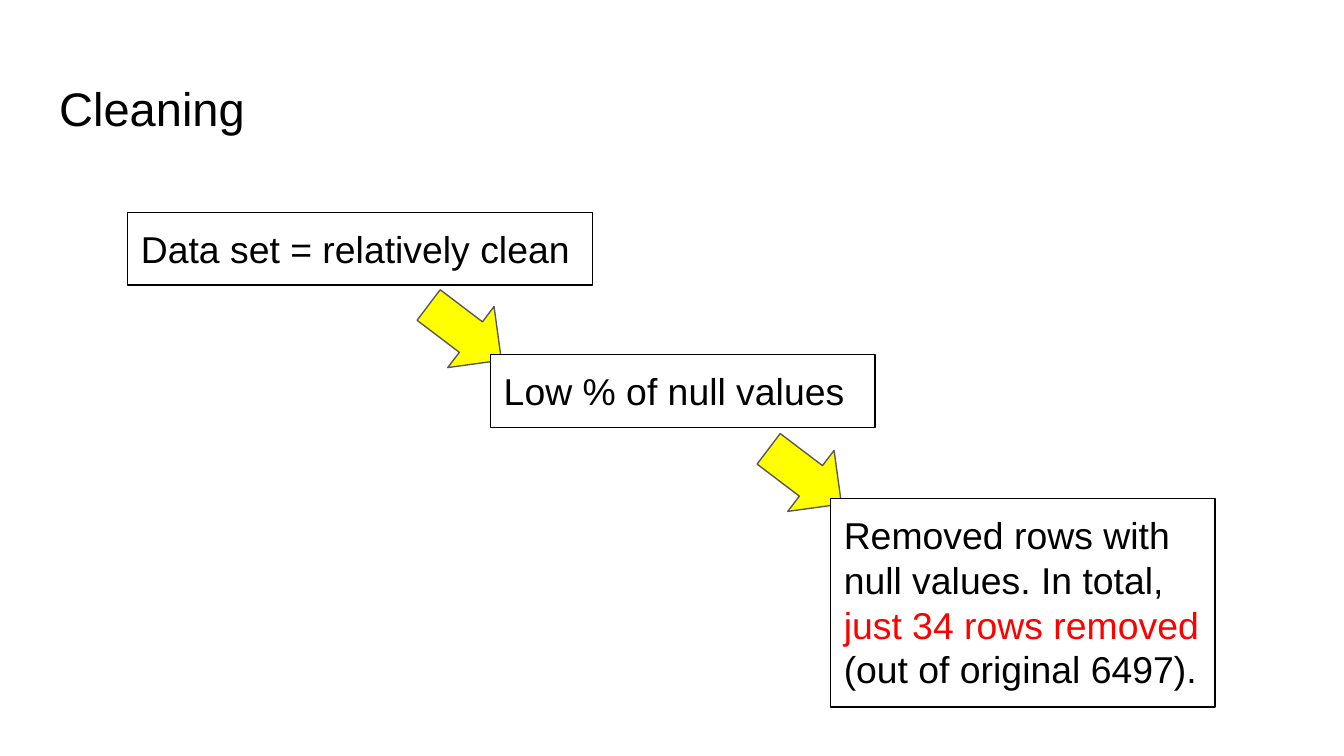
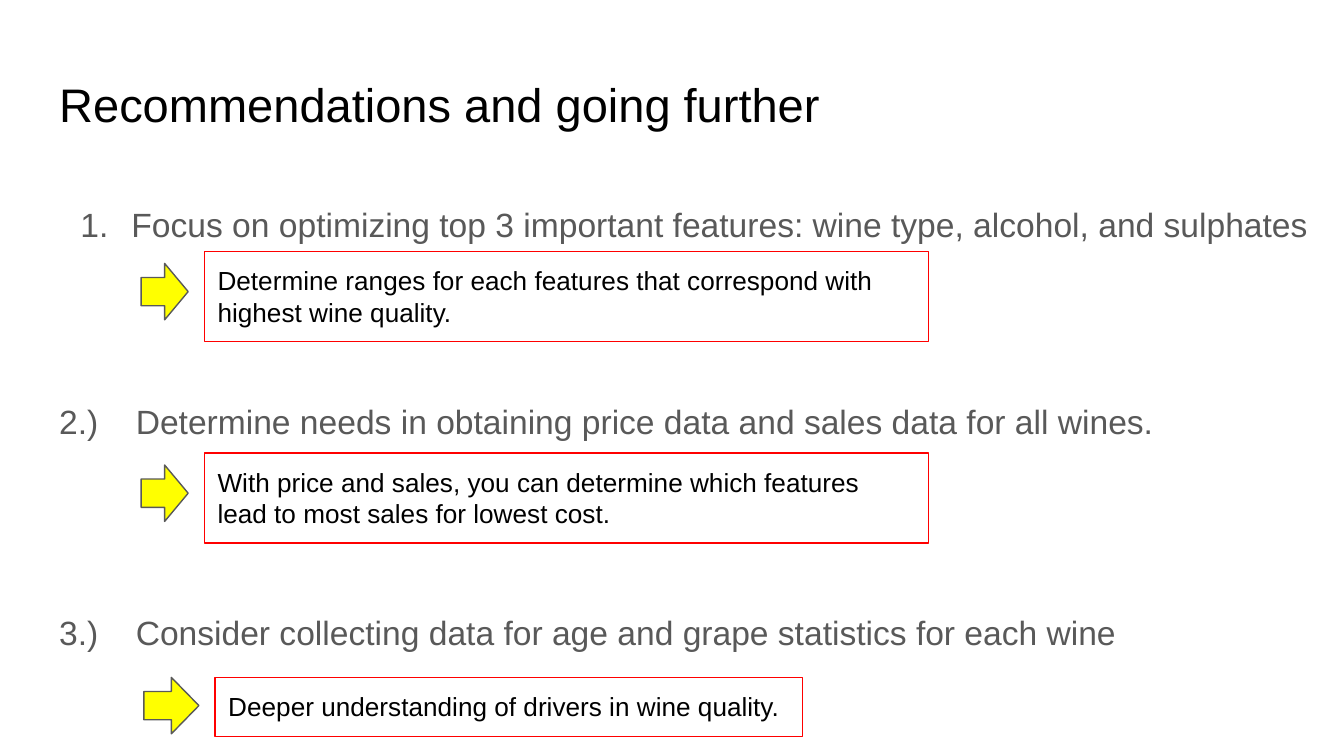
from dataclasses import dataclass

from lxml.etree import SubElement
from pptx import Presentation
from pptx.dml.color import RGBColor
from pptx.enum.shapes import MSO_SHAPE
from pptx.enum.text import MSO_ANCHOR, MSO_AUTO_SIZE, PP_ALIGN
from pptx.oxml.ns import qn
from pptx.util import Emu, Pt

EMU_PER_PX = 9144  # 100 px to the inch


@dataclass(frozen=True)
class Theme:
    font: str = "Arial"
    black: RGBColor = RGBColor(0, 0, 0)
    white: RGBColor = RGBColor(255, 255, 255)
    red: RGBColor = RGBColor(255, 0, 0)
    yellow: RGBColor = RGBColor(255, 255, 0)
    gray: RGBColor = RGBColor(0x59, 0x59, 0x59)
    title_size: float = 25.2
    step_size: int = 20
    item_size: int = 18
    detail_size: int = 14
    line_width: float = 0.75
    inset: int = 10


THEME = Theme()


def px(length):
    return Emu(length * EMU_PER_PX)


def place(shape, left, top, width, height):
    shape.left, shape.top = px(left), px(top)
    shape.width, shape.height = px(width), px(height)


def style_frame(frame, auto_size=MSO_AUTO_SIZE.NONE):
    frame.word_wrap = True
    frame.auto_size = auto_size
    frame.vertical_anchor = MSO_ANCHOR.TOP
    frame.margin_left = frame.margin_right = px(THEME.inset)
    frame.margin_top = frame.margin_bottom = px(THEME.inset)


def style_span(span, size, color):
    span.font.name = THEME.font
    span.font.size = Pt(size)
    span.font.color.rgb = color


def outline(shape, color, fill=None):
    shape.shadow.inherit = False
    shape.line.color.rgb = color
    shape.line.width = Pt(THEME.line_width)
    if fill is None:
        shape.fill.background()
    else:
        shape.fill.solid()
        shape.fill.fore_color.rgb = fill


def set_title(slide, text, top):
    title = slide.shapes.title
    place(title, 34, top, 932, 63)
    style_frame(title.text_frame)
    title.text_frame.text = text
    para = title.text_frame.paragraphs[0]
    para.alignment = PP_ALIGN.LEFT
    style_span(para.runs[0], THEME.title_size, THEME.black)


def add_box(shapes, bounds, spans, size, line_color, fill=None):
    """Add a bordered rectangle; spans are (text, colour) pairs."""
    box = shapes.add_shape(MSO_SHAPE.RECTANGLE, *map(px, bounds))
    outline(box, line_color, fill)
    style_frame(box.text_frame, MSO_AUTO_SIZE.SHAPE_TO_FIT_TEXT)
    para = box.text_frame.paragraphs[0]
    para.alignment = PP_ALIGN.LEFT
    for text, color in spans:
        span = para.add_run()
        span.text = text
        style_span(span, size, color)


def add_arrow(shapes, bounds, rotation=0):
    arrow = shapes.add_shape(MSO_SHAPE.RIGHT_ARROW, *map(px, bounds))
    arrow.rotation = rotation
    outline(arrow, THEME.gray, THEME.yellow)


def add_next_step(slide, left, top, height, spans):
    """Add a filled step with a slanted arrow leading into its top left corner."""
    shapes = slide.shapes.add_group_shape().shapes
    add_arrow(shapes, (left - 53, top - 45, 68, 57), rotation=37.2)
    add_box(shapes, (left, top, 286, height), spans,
            THEME.step_size, THEME.black, THEME.white)


def add_detail(slide, arrow_bounds, box_bounds, text):
    shapes = slide.shapes.add_group_shape().shapes
    add_arrow(shapes, arrow_bounds)
    add_box(shapes, box_bounds, [(text, THEME.black)], THEME.detail_size, THEME.red)


def set_item(shape, text, margin, indent, space_after, numbered=False):
    """Write one list item with a hanging indent, numbered by rule or by its text."""
    frame = shape.text_frame
    frame.text = text
    para = frame.paragraphs[0]
    para.alignment = PP_ALIGN.LEFT
    para.line_spacing = 1.15
    para.space_before = Pt(0)
    para.space_after = Pt(space_after)
    style_span(para.runs[0], THEME.item_size, THEME.gray)
    properties = para._p.get_or_add_pPr()
    properties.set("marL", str(px(margin)))
    properties.set("indent", str(px(-indent)))
    if numbered:
        color = SubElement(properties, qn("a:buClr"))
        SubElement(color, qn("a:srgbClr"), val=str(THEME.gray))
        SubElement(properties, qn("a:buFont"), typeface=THEME.font)
        SubElement(properties, qn("a:buAutoNum"), type="arabicPeriod")
    else:
        SubElement(properties, qn("a:buNone"))


def build_cleaning(deck):
    slide = deck.slides.add_slide(deck.slide_layouts[5])
    set_title(slide, "Cleaning", 49)
    add_box(slide.shapes, (95, 158, 346, 54),
            [("Data set = relatively clean", THEME.black)],
            THEME.step_size, THEME.black)
    add_next_step(slide, 365, 264, 54, [("Low % of null values", THEME.black)])
    add_next_step(slide, 618, 371, 155, [
        ("Removed rows with null values. In total, ", THEME.black),
        ("just 34 rows removed", THEME.red),
        (" (out of original 6497).", THEME.black),
    ])


def build_recommendations(deck):
    slide = deck.slides.add_slide(deck.slide_layouts[3])
    set_title(slide, "Recommendations and going further", 46)

    first_item = slide.shapes.add_textbox(px(38), px(137), px(955), px(50))
    style_frame(first_item.text_frame, MSO_AUTO_SIZE.SHAPE_TO_FIT_TEXT)
    set_item(first_item, "Focus on optimizing top 3 important features: "
             "wine type, alcohol, and sulphates", 50, 38, 0, numbered=True)

    later_items = [
        (1, 284, "2.)\tDetermine needs in obtaining price data and sales data "
         "for all wines."),
        (2, 441, "3.)\tConsider collecting data for age and grape statistics "
         "for each wine"),
    ]
    for index, top, text in later_items:
        body = slide.placeholders[index]
        place(body, 34, top, 949, 70)
        style_frame(body.text_frame)
        set_item(body, text, 57, 57, 12)

    wide_details = [
        (187, "Determine ranges for each features that correspond with "
         "highest wine quality."),
        (337, "With price and sales, you can determine which features "
         "lead to most sales for lowest cost."),
    ]
    for top, text in wide_details:
        add_detail(slide, (105, top + 9, 35, 42), (152, top, 539, 67), text)
    add_detail(slide, (107, 504, 41, 42), (160, 504, 437, 44),
               "Deeper understanding of drivers in wine quality.")


def main():
    deck = Presentation()
    deck.slide_width = px(1000)
    deck.slide_height = Emu(deck.slide_width * 9 // 16)
    build_cleaning(deck)
    build_recommendations(deck)
    deck.save("out.pptx")


if __name__ == "__main__":
    main()
